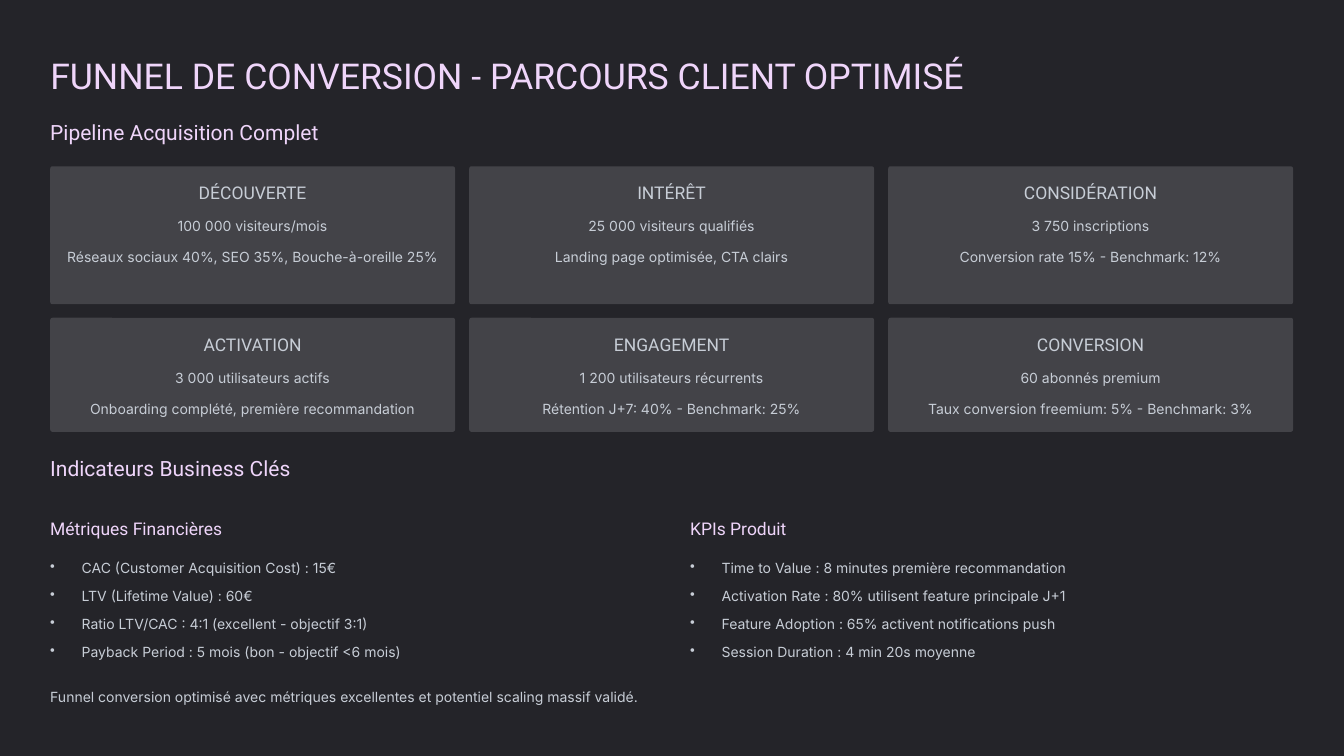
from lxml import etree
from pptx import Presentation
from pptx.dml.color import RGBColor
from pptx.enum.shapes import MSO_SHAPE
from pptx.enum.text import MSO_ANCHOR, PP_ALIGN
from pptx.oxml.ns import qn
from pptx.util import Cm, Pt

LEFT, CENTER = PP_ALIGN.LEFT, PP_ALIGN.CENTER
TOP = MSO_ANCHOR.TOP
ROUNDED = MSO_SHAPE.ROUNDED_RECTANGLE

COLORS = {"bg": "242429", "card": "434348", "accent": "EFD5FA", "body": "C7CDD6"}

# Text styles: font, size, line spacing, colour
TITLE = ("Roboto", 30.5, 38.5, "accent")
SECTION = ("Roboto", 18, 23, "accent")
SUBHEAD = ("Roboto", 15, 19, "accent")
CARD_HEAD = ("Roboto", 15, 19, "body")
BODY = ("Inter", 12, 19.5, "body")

MARGIN = 1.52
CARD_W, CARD_PITCH, CARD_RADIUS = 12.24, 12.67, 0.07

# Rows of cards: top, height, stages
FUNNEL = [
    (5.03, 4.17, [
        ("DÉCOUVERTE", "100 000 visiteurs/mois",
         "Réseaux sociaux 40%, SEO 35%, Bouche-à-oreille 25%"),
        ("INTÉRÊT", "25 000 visiteurs qualifiés",
         "Landing page optimisée, CTA clairs"),
        ("CONSIDÉRATION", "3 750 inscriptions",
         "Conversion rate 15% - Benchmark: 12%"),
    ]),
    (9.61, 3.45, [
        ("ACTIVATION", "3 000 utilisateurs actifs",
         "Onboarding complété, première recommandation"),
        ("ENGAGEMENT", "1 200 utilisateurs récurrents",
         "Rétention J+7: 40% - Benchmark: 25%"),
        ("CONVERSION", "60 abonnés premium",
         "Taux conversion freemium: 5% - Benchmark: 3%"),
    ]),
]

# Indicator columns: left, heading, items
INDICATORS = [
    (MARGIN, "Métriques Financières", [
        "CAC (Customer Acquisition Cost) : 15€",
        "LTV (Lifetime Value) : 60€",
        "Ratio LTV/CAC : 4:1 (excellent - objectif 3:1)",
        "Payback Period : 5 mois (bon - objectif <6 mois)",
    ]),
    (20.87, "KPIs Produit", [
        "Time to Value : 8 minutes première recommandation",
        "Activation Rate : 80% utilisent feature principale J+1",
        "Feature Adoption : 65% activent notifications push",
        "Session Duration : 4 min 20s moyenne",
    ]),
]


def rgb(name):
    return RGBColor.from_string(COLORS[name])


def set_frame(tf, inset=0, wrap=True):
    tf.margin_left = tf.margin_right = Cm(inset)
    tf.margin_top = tf.margin_bottom = Cm(inset)
    tf.vertical_anchor = TOP
    tf.word_wrap = wrap


def add_bullet(p):
    pPr = p._p.get_or_add_pPr()
    pPr.set("marL", str(Cm(0.95)))
    pPr.set("indent", str(-Cm(0.95)))
    etree.SubElement(pPr, qn("a:buChar")).set("char", "•")


def write(tf, lines, align=LEFT, gap=0, bullets=False):
    """Write (text, style) pairs as paragraphs separated by gap points."""
    for i, (text, (font, size, spacing, color)) in enumerate(lines):
        p = tf.paragraphs[0] if i == 0 else tf.add_paragraph()
        if bullets:
            add_bullet(p)
        p.alignment = align
        p.line_spacing = Pt(spacing)
        p.space_before = Pt(gap if i else 0)
        r = p.add_run()
        r.text = text
        r.font.name = font
        r.font.size = Pt(size)
        r.font.color.rgb = rgb(color)


def add_title(s, text):
    sp = s.shapes.title
    sp.left, sp.top, sp.width, sp.height = Cm(MARGIN), Cm(1.55), Cm(29.9), Cm(1.37)
    set_frame(sp.text_frame, wrap=False)
    write(sp.text_frame, [(text, TITLE)])


def add_text(s, x, y, w, h, lines, **options):
    tf = s.shapes.add_textbox(Cm(x), Cm(y), Cm(w), Cm(h)).text_frame
    set_frame(tf)
    write(tf, lines, **options)


def add_card(s, x, y, h, stage):
    sp = s.shapes.add_shape(ROUNDED, Cm(x), Cm(y), Cm(CARD_W), Cm(h))
    sp.adjustments[0] = CARD_RADIUS / h
    sp.shadow.inherit = False
    sp.fill.solid()
    sp.fill.fore_color.rgb = rgb("card")
    sp.line.fill.background()
    set_frame(sp.text_frame, inset=0.43)
    write(sp.text_frame, zip(stage, (CARD_HEAD, BODY, BODY)), align=CENTER, gap=7.2)


def main():
    prs = Presentation()
    prs.slide_width, prs.slide_height = Cm(40.64), Cm(22.86)
    s = prs.slides.add_slide(prs.slide_layouts[5])
    s.background.fill.solid()
    s.background.fill.fore_color.rgb = rgb("bg")

    add_title(s, "FUNNEL DE CONVERSION - PARCOURS CLIENT OPTIMISÉ")

    # Acquisition funnel
    add_text(s, MARGIN, 3.56, 12, 0.81, [("Pipeline Acquisition Complet", SECTION)])
    for y, h, stages in FUNNEL:
        for col, stage in enumerate(stages):
            add_card(s, MARGIN + col * CARD_PITCH, y, h, stage)

    # Business indicators
    add_text(s, MARGIN, 13.72, 12, 0.81, [("Indicateurs Business Clés", SECTION)])
    for x, heading, items in INDICATORS:
        add_text(s, x, 15.63, 12, 0.69, [(heading, SUBHEAD)])
        add_text(s, x, 16.75, 18.26, 3.23, [(item, BODY) for item in items],
                 gap=4.5, bullets=True)

    # Conclusion
    add_text(s, MARGIN, 20.63, 37.6, 0.69, [(
        "Funnel conversion optimisé avec métriques excellentes "
        "et potentiel scaling massif validé.", BODY)])

    prs.save("out.pptx")


if __name__ == "__main__":
    main()
